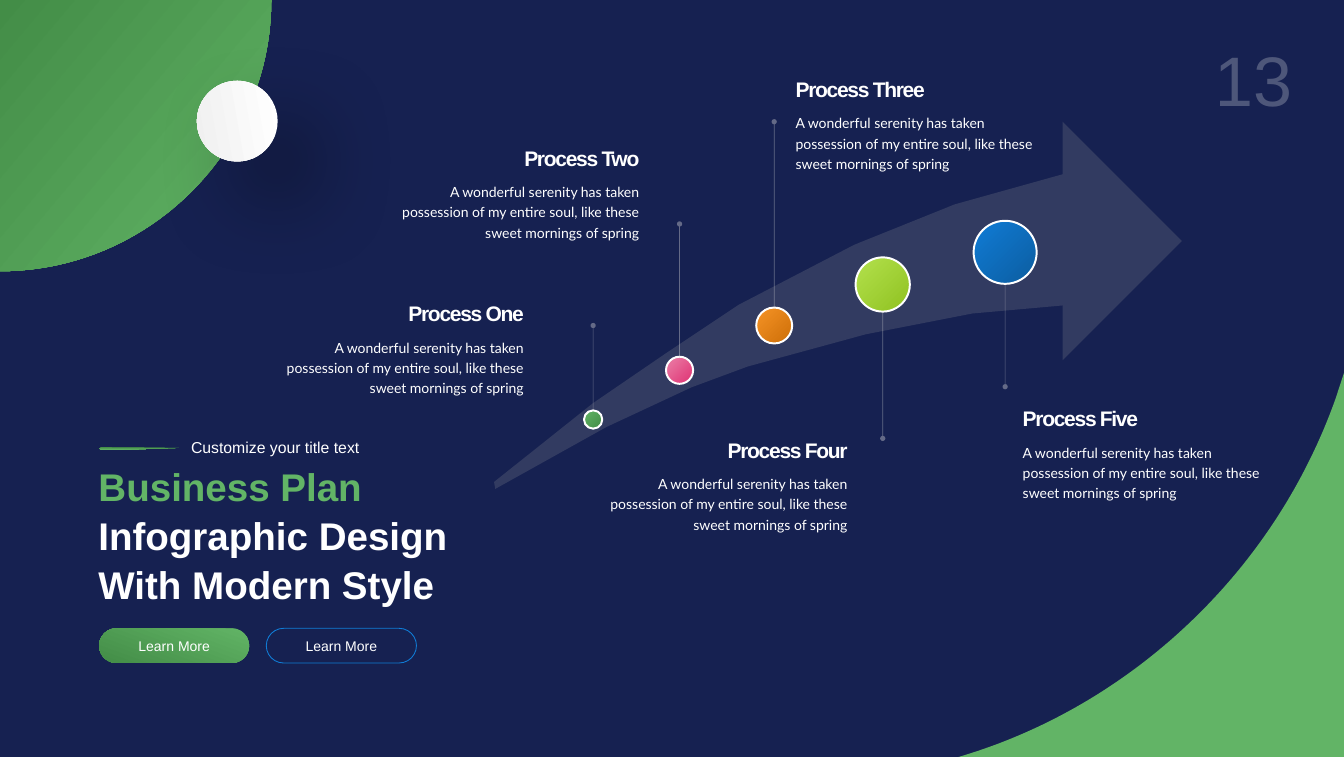
from lxml.etree import SubElement
from pptx import Presentation
from pptx.dml.color import RGBColor
from pptx.enum.shapes import MSO_CONNECTOR, MSO_SHAPE as SHAPE
from pptx.enum.text import MSO_ANCHOR as ANCHOR, MSO_AUTO_SIZE as SIZE, PP_ALIGN as ALIGN
from pptx.oxml.ns import qn
from pptx.util import Inches, Pt

# The slide is a grid of 21.3 columns by 12 rows, one inch each
COLS, ROWS = 21.3, 12
NAVY, WHITE, BLUE = "162151", "FFFFFF", "107CD6"
GREEN, DARK_GREEN, ARROW = "62B466", "438D47", "323B61"
BLURB = ("A wonderful serenity has taken possession of my entire soul, "
         "like these sweet mornings of spring")

# name, text edge, text top, alignment, circle centre, diameter, pin end, colours
PROCESSES = [
    ("Process One", 8.4, 4.72, ALIGN.RIGHT, (9.4, 6.65), 0.29, 5.16, (GREEN, DARK_GREEN)),
    ("Process Two", 10.23, 2.25, ALIGN.RIGHT, (10.77, 5.87), 0.43, 3.55, ("EB81A9", "DF3273")),
    ("Process Three", 12.51, 1.16, ALIGN.LEFT, (12.27, 5.16), 0.57, 1.93, ("F69326", "CD6F08")),
    ("Process Four", 13.53, 6.88, ALIGN.RIGHT, (13.99, 4.51), 0.86, 6.95, ("B3E14D", "90C221")),
    ("Process Five", 16.11, 6.38, ALIGN.LEFT, (15.93, 4), 1, 6.13, (BLUE, "0C5DA0")),
]


def rgb(color):
    return RGBColor.from_string(color)


def paint(fill, colors, angle=0):
    """One colour gives a solid fill, two a gradient, none an empty one."""
    if not colors:
        fill.background()
    elif isinstance(colors, str):
        fill.solid()
        fill.fore_color.rgb = rgb(colors)
    else:
        fill.gradient()
        fill.gradient_angle = (360 - angle) % 360
        for stop, color in zip(fill.gradient_stops, colors):
            stop.color.rgb = rgb(color)


def set_alpha(element, percent):
    for color in element.iter(qn("a:srgbClr")):
        SubElement(color, qn("a:alpha"), val=str(percent * 1000))


def style(shape, fill, angle=0, line=None, width=1):
    shape.shadow.inherit = False
    paint(shape.fill, fill, angle)
    paint(shape.line.fill, line)
    if line:
        shape.line.width = Pt(width)
    return shape


def add_shape(s, kind, box, **fmt):
    return style(s.shapes.add_shape(kind, *map(Inches, box)), **fmt)


def outline(shapes, points, **fmt):
    pts = [(Inches(x), Inches(y)) for x, y in points]
    builder = shapes.build_freeform(*pts[0], scale=1.0)
    builder.add_line_segments(pts[1:], close=True)
    return style(builder.convert_to_shape(), **fmt)


def curve(*nodes, steps=40):
    """Points along a cubic curve."""
    points = []
    for i in range(steps + 1):
        t = i / steps
        weights = ((1 - t) ** 3, 3 * t * (1 - t) ** 2, 3 * t * t * (1 - t), t ** 3)
        points.append(tuple(sum(w * n[k] for w, n in zip(weights, nodes)) for k in (0, 1)))
    return points


def add_run(p, text, size, color=WHITE, font="Arial", bold=False, spacing=0, alpha=None):
    r = p.add_run()
    r.text = text
    r.font.name, r.font.size, r.font.bold = font, Pt(size), bold
    paint(r.font.fill, color, 140)
    rPr = r._r.get_or_add_rPr()
    if spacing:
        rPr.set("spc", str(int(spacing * 100)))
    if alpha:
        set_alpha(rPr, alpha)


def add_text(s, box, text, size, align=ALIGN.LEFT, leading=None, **fmt):
    tf = s.shapes.add_textbox(*map(Inches, box)).text_frame
    tf.word_wrap = True
    tf.auto_size = SIZE.SHAPE_TO_FIT_TEXT
    p = tf.paragraphs[0]
    p.alignment = align
    if leading:
        p.line_spacing = leading
    add_run(p, text, size, **fmt)


def corners(s):
    r = 4.3
    top_left = [(0, 0)] + curve((0, r), (0.55 * r, r), (r, 0.55 * r), (r, 0))
    outline(s.shapes, top_left, fill=(GREEN, DARK_GREEN), angle=220)
    arc = (curve((15.19, ROWS), (16.62, 11.58), (17.94, 10.79), (19.02, 9.71))
           + curve((19.02, 9.71), (19.99, 8.74), (20.72, 7.58), (21.17, 6.31)))
    outline(s.shapes, arc + [(COLS, 5.91), (COLS, ROWS)], fill=GREEN)


def moon(s, box):
    disc = add_shape(s, SHAPE.OVAL, box, fill=(WHITE, "F0F0F0"), angle=170)
    effects = disc._element.spPr.find(qn("a:effectLst"))
    shadow = SubElement(effects, qn("a:outerShdw"), blurRad=str(Pt(100)), dist=str(Pt(64)),
                        dir=str(45 * 60000), algn="tl", rotWithShape="0")
    SubElement(shadow, qn("a:srgbClr"), val="000000")
    set_alpha(shadow, 40)


def arrow(s):
    shapes = s.shapes.add_group_shape().shapes
    upper = [(7.83, 7.64), (9.4, 6.39), (10.54, 5.61), (11.71, 4.83), (13.54, 3.88),
             (15.13, 3.24), (16.85, 2.76)]
    lower = [(16.87, 4.84), (15.41, 4.97), (13.72, 5.3), (11.85, 5.81), (10.96, 6.14),
             (9.61, 6.77), (7.85, 7.75)]
    outline(shapes, upper + lower, fill=ARROW)
    outline(shapes, [(16.84, 5.71), (16.84, 1.93), (18.73, 3.82)], fill=ARROW)


def pin(s, x, start, end):
    line = s.shapes.add_connector(MSO_CONNECTOR.STRAIGHT, *map(Inches, (x, start, x, end)))
    paint(line.line.fill, "D9D9D9")
    line.line.width = Pt(0.75)
    spPr = line._element.spPr
    set_alpha(spPr, 40)
    SubElement(spPr.find(qn("a:ln")), qn("a:tailEnd"), type="oval")
    SubElement(spPr, qn("a:effectLst"))


def process(s, name, edge, top, align, center, d, end, colors):
    width = 4.12
    left = edge - width if align == ALIGN.RIGHT else edge
    add_text(s, (left, top, width, 0.5), name, 24, align, bold=True, spacing=-1.5)
    add_text(s, (left, top + 0.56, width, 1.04), BLURB, 16, align, 1.2, font="Lato")
    x, y = center
    add_shape(s, SHAPE.OVAL, (x - d / 2, y - d / 2, d, d), fill=colors, angle=45,
              line=WHITE, width=2.25)
    pin(s, x, y + (d / 2 if end > y else -d / 2), end)


def button(s, box, text, **fmt):
    shape = add_shape(s, SHAPE.ROUNDED_RECTANGLE, box, **fmt)
    shape.adjustments[0] = 0.5
    tf = shape.text_frame
    tf.vertical_anchor = ANCHOR.MIDDLE
    p = tf.paragraphs[0]
    p.alignment = ALIGN.CENTER
    add_run(p, text, 16)


def title_block(s, left, top):
    # Tapered rule and kicker
    y = top + 0.2
    rule = [(left, y + 0.02), (left + 0.03, y)]
    rule += curve((left + 0.03, y), (left + 0.59, y), (left + 1.04, y + 0.01), (left + 1.27, y + 0.01))
    rule += [(left + 0.38, y + 0.04), (left + 0.03, y + 0.04)]
    outline(s.shapes, rule, fill=(DARK_GREEN, GREEN), angle=90)
    add_text(s, (left + 1.36, top, 3.67, 0.4), "Customize your title text", 18)

    # Title
    title = s.shapes.title
    title.left, title.top, title.width, title.height = map(
        Inches, (left - 0.11, top + 0.37, 6.26, 2.32))
    tf = title.text_frame
    tf.word_wrap = True
    tf.auto_size = SIZE.SHAPE_TO_FIT_TEXT
    tf.vertical_anchor = ANCHOR.TOP
    p = tf.paragraphs[0]
    p.alignment, p.line_spacing = ALIGN.LEFT, 1.05
    add_run(p, "Business Plan ", 44, (GREEN, DARK_GREEN), bold=True)
    add_run(p, "Infographic Design With Modern Style", 44, bold=True)

    # Buttons
    looks = [dict(fill=(GREEN, DARK_GREEN), angle=110), dict(fill=None, line=BLUE)]
    for i, look in enumerate(looks):
        button(s, (left + i * 2.65, top + 3.07, 2.38, 0.55), "Learn More", **look)


def main():
    prs = Presentation()
    prs.slide_width, prs.slide_height = Inches(COLS), Inches(ROWS)
    s = prs.slides.add_slide(prs.slide_layouts[5])
    paint(s.background.fill, NAVY)
    add_text(s, (15.71, 0.52, 4.88, 1.45), "13", 80, ALIGN.RIGHT, color="F2F2F2", alpha=25)
    corners(s)
    arrow(s)
    for item in PROCESSES:
        process(s, *item)
    title_block(s, 1.57, 6.89)
    moon(s, (3.12, 1.28, 1.28, 1.28))
    prs.save("out.pptx")


if __name__ == "__main__":
    main()
